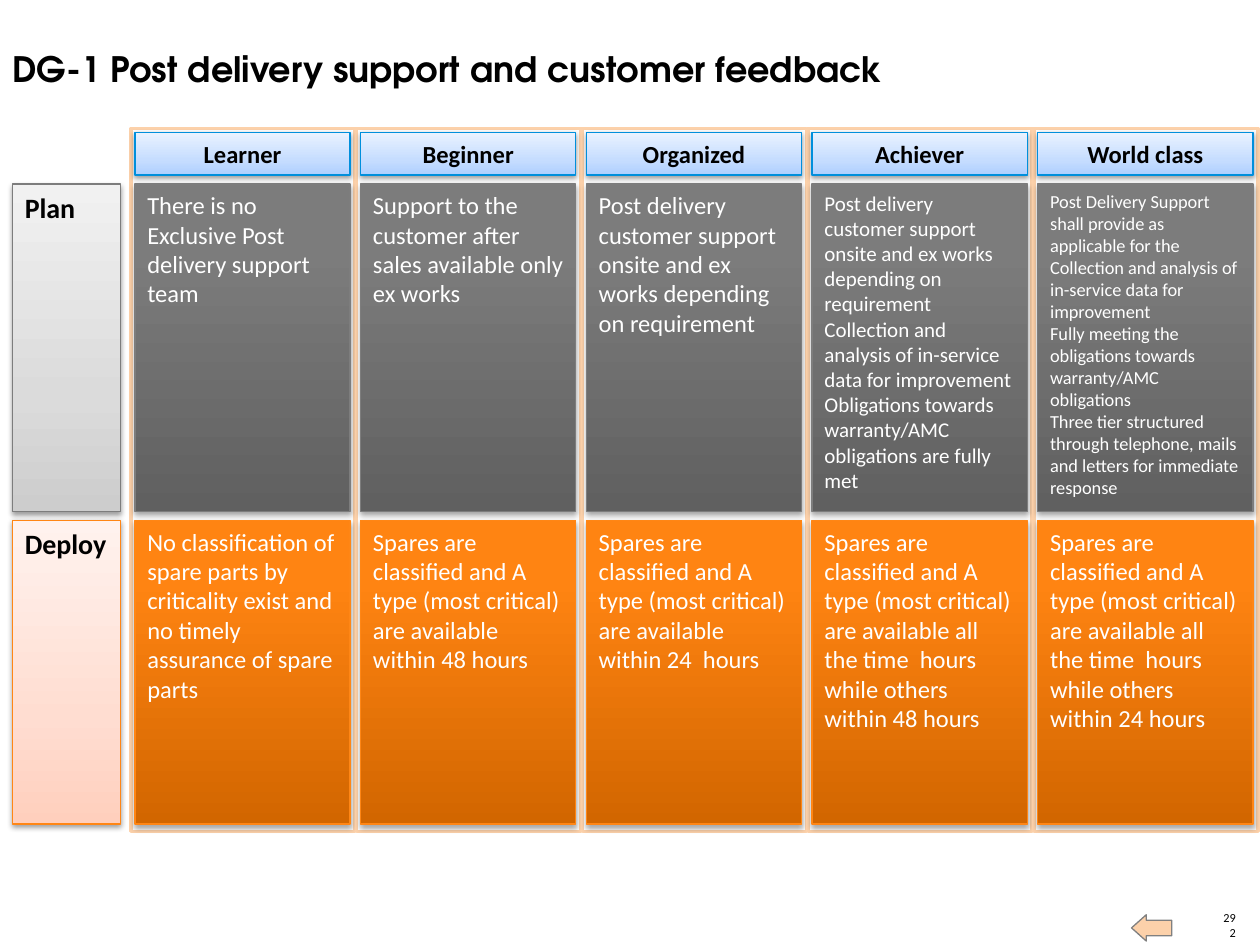
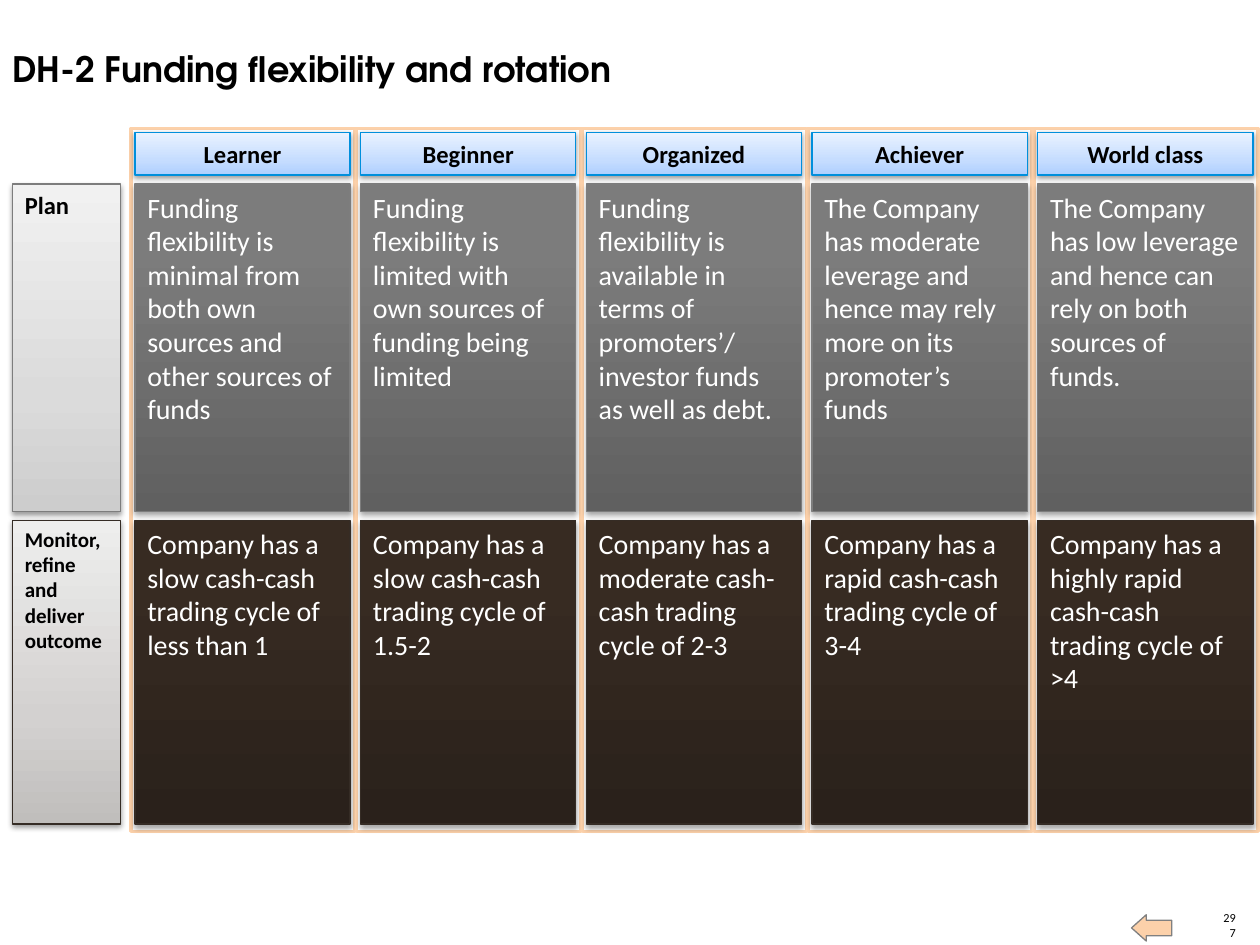
from lxml import etree
from pptx import Presentation
from pptx.dml.color import RGBColor
from pptx.enum import shapes, text
from pptx.oxml import ns
from pptx.util import Cm, Pt


class Theme:
    title_font = "TeX Gyre Adventor"
    body_font = "Calibri"
    black = "000000"
    white = "FFFFFF"
    peach = "FCD1AA"
    grey = "808080"
    title_size = 20
    header_size = 14
    number_size = 7
    pale_stops = (0, 35, 100)
    strong_stops = (0, 80, 100)
    header = (("AECFFF", "C6DDFF", "E9F2FF"), "008FDC")
    plan = {"pale": ("CDCDCD", "DBDBDB", "F1F1F1"),
            "strong": ("606060", "7C7C7C", "7D7D7D"), "line": "7D7D7D"}
    deploy = {"pale": ("FFCFBD", "FFDDD1", "FFF2EE"),
              "strong": ("D26600", "FF8412", "FF8514"), "line": "FF8615"}
    outcome = {"pale": ("C0BEBC", "D3D1D0", "EEEEED"),
               "strong": ("2A211B", "372B22", "372B22"), "line": "352C25"}


levels = ["Learner", "Beginner", "Organized", "Achiever", "World class"]
row_spans = [(3.71, 6.6), (10.49, 6.12)]
first_column, column_step, inset = 2.64, 4.55, 0.08
cell_width = 4.34

pages = [
    {
        "title": "DG-1 Post delivery support and customer feedback",
        "number": "292",
        "rows": [
            ("Plan", 16, Theme.plan, [
                (14, ["There is no Exclusive Post delivery support team"]),
                (14, ["Support to the customer after sales available only ex works"]),
                (14, ["Post delivery customer support onsite and ex works depending on requirement"]),
                (12, ["Post delivery customer support onsite and ex works depending on requirement",
                      "Collection and analysis of in-service data for improvement",
                      "Obligations towards warranty/AMC obligations are fully met"]),
                (10.5, ["Post Delivery Support shall provide as applicable for the",
                        "Collection and analysis of in-service data for improvement",
                        "Fully meeting the obligations towards warranty/AMC obligations",
                        "Three tier structured through telephone, mails and letters for immediate response"]),
            ]),
            ("Deploy", 16, Theme.deploy, [
                (14, ["No classification of spare parts by criticality exist and no timely assurance of spare parts"]),
                (14, ["Spares are classified and A type (most critical) are available within 48 hours"]),
                (14, ["Spares are classified and A type (most critical) are available within 24  hours"]),
                (14, ["Spares are classified and A type (most critical) are available all the time  hours while others within 48 hours"]),
                (14, ["Spares are classified and A type (most critical) are available all the time  hours while others within 24 hours"]),
            ]),
        ],
    },
    {
        "title": "DH-2 Funding flexibility and rotation",
        "number": "297",
        "rows": [
            ("Plan", 14, Theme.plan, [
                (16, ["Funding flexibility is minimal from both own sources and other sources of funds"]),
                (16, ["Funding flexibility is limited with own sources of funding being limited"]),
                (16, ["Funding flexibility is available in terms of promoters’/ investor funds as well as debt."]),
                (16, ["The Company has moderate leverage and hence may rely more on its promoter’s funds"]),
                (16, ["The Company has low leverage and hence can rely on both sources of funds."]),
            ]),
            ("Monitor, refine and deliver outcome", 12, Theme.outcome, [
                (16, ["Company has a slow cash-cash trading cycle of less than 1"]),
                (16, ["Company has a slow cash-cash trading cycle of 1.5-2"]),
                (16, ["Company has a moderate cash-cash trading cycle of 2-3"]),
                (16, ["Company has a rapid cash-cash trading cycle of 3-4"]),
                (16, ["Company has a highly rapid cash-cash trading cycle of >4"]),
            ]),
        ],
    },
]


def write(tf, lines, size, color=Theme.black, bold=False, font=Theme.body_font,
          align=text.PP_ALIGN.LEFT, anchor=text.MSO_ANCHOR.TOP):
    tf.word_wrap = True
    tf.vertical_anchor = anchor
    for i, line in enumerate(lines):
        p = tf.add_paragraph() if i else tf.paragraphs[0]
        p.alignment = align
        r = p.add_run()
        r.text = line
        r.font.name = font
        r.font.size = Pt(size)
        r.font.bold = bold
        r.font.color.rgb = RGBColor.from_string(color)


def add_panel(s, box, fill, line, width=0.75, stops=None, shadow=None,
              kind=shapes.MSO_SHAPE.RECTANGLE):
    sp = s.shapes.add_shape(kind, *[Cm(v) for v in box])
    sp.shadow.inherit = False
    sp.line.color.rgb = RGBColor.from_string(line)
    sp.line.width = Pt(width)
    if stops is None:
        sp.fill.solid()
        sp.fill.fore_color.rgb = RGBColor.from_string(fill)
        return sp
    sp.fill.gradient()
    sp.fill.gradient_angle = 90
    stop_list = sp._element.spPr.find(".//" + ns.qn("a:gsLst"))
    for old_stop in list(stop_list):
        stop_list.remove(old_stop)
    for position, color in zip(stops, fill):
        stop = etree.SubElement(stop_list, ns.qn("a:gs"), pos=str(position * 1000))
        etree.SubElement(stop, ns.qn("a:srgbClr"), val=color)
    alpha, distance = shadow
    effects = sp._element.spPr.find(ns.qn("a:effectLst"))
    outer = etree.SubElement(effects, ns.qn("a:outerShdw"), blurRad="40000",
                             dist=str(distance), dir="5400000", rotWithShape="0")
    color = etree.SubElement(outer, ns.qn("a:srgbClr"), val=Theme.black)
    etree.SubElement(color, ns.qn("a:alpha"), val=str(alpha * 1000))
    return sp


pale = {"stops": Theme.pale_stops, "shadow": (38, 20000)}
strong = {"stops": Theme.strong_stops, "shadow": (35, 23000)}

prs = Presentation()
prs.slide_width, prs.slide_height = Cm(25.4), Cm(19.05)

for page in pages:
    s = prs.slides.add_slide(prs.slide_layouts[6])

    number = s.shapes.add_textbox(Cm(24.61), Cm(18.64), Cm(0.3), Cm(0.3))
    tf = number.text_frame
    tf.margin_left = tf.margin_right = tf.margin_top = tf.margin_bottom = 0
    write(tf, [page["number"]], Theme.number_size,
          align=text.PP_ALIGN.RIGHT, anchor=text.MSO_ANCHOR.BOTTOM)

    arrow = add_panel(s, (22.81, 18.44, 0.81, 0.53), Theme.peach, Theme.grey,
                      kind=shapes.MSO_SHAPE.RIGHT_ARROW)
    arrow.rotation = 180
    arrow.adjustments[0], arrow.adjustments[1] = 0.59, 0.56

    title = s.shapes.add_textbox(Cm(0), Cm(0.84), Cm(21.84), Cm(1.12))
    write(title.text_frame, [page["title"]], Theme.title_size, bold=True,
          font=Theme.title_font)

    for (label, size, tone, cells), (top, height) in zip(page["rows"], row_spans):
        sp = add_panel(s, (0.25, top, 2.18, height), tone["pale"], tone["line"], **pale)
        write(sp.text_frame, [label], size, bold=True)

    for i, level in enumerate(levels):
        left = first_column + i * column_step
        add_panel(s, (left, 2.59, 4.52, 14.17), Theme.white, Theme.peach, width=2)
        left += inset
        for (label, size, tone, cells), (top, height) in zip(page["rows"], row_spans):
            sp = add_panel(s, (left, top, cell_width, height),
                           tone["strong"], tone["line"], **strong)
            cell_size, lines = cells[i]
            write(sp.text_frame, lines, cell_size, Theme.white)
        sp = add_panel(s, (left, 2.67, cell_width, 0.86), *Theme.header, **pale)
        write(sp.text_frame, [level], Theme.header_size, bold=True,
              align=text.PP_ALIGN.CENTER, anchor=text.MSO_ANCHOR.MIDDLE)

prs.save("out.pptx")
